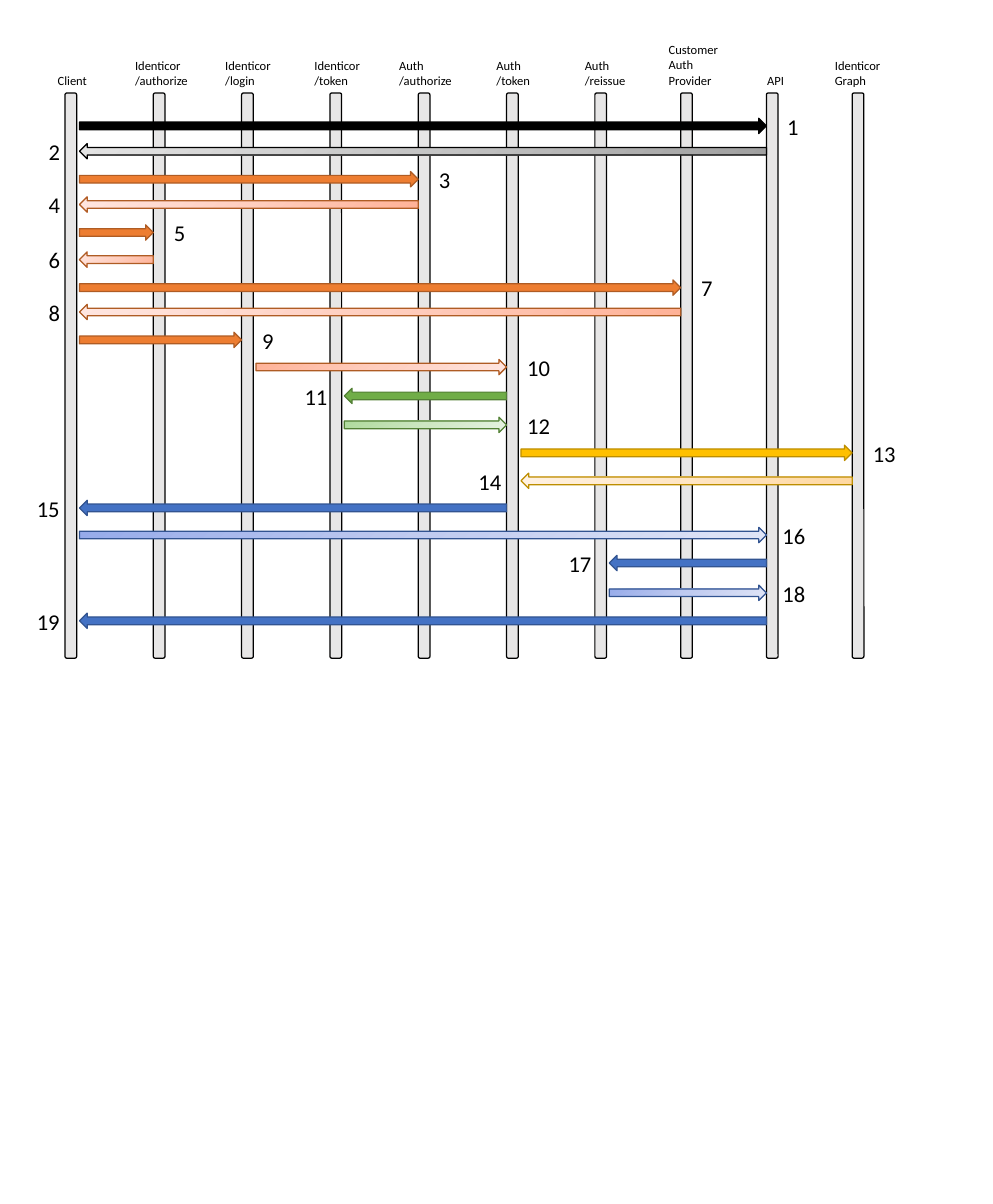
from copy import deepcopy
from dataclasses import dataclass

from pptx import Presentation
from pptx.dml.color import RGBColor
from pptx.enum.shapes import MSO_AUTO_SHAPE_TYPE as Preset
from pptx.enum.text import MSO_AUTO_SIZE as AutoSize
from pptx.oxml.ns import qn
from pptx.shapes.autoshape import Shape
from pptx.shapes.shapetree import SlideShapes
from pptx.util import Inches, Pt

BLACK = RGBColor(0x00, 0x00, 0x00)
LANE_GRAY = RGBColor(0xE7, 0xE6, 0xE6)
FONT = "Calibri"

LANE_LEFT, LANE_TOP = 0.72, 1.03
LANE_WIDTH, LANE_HEIGHT = 0.13, 6.26
WIDE_COLUMNS = 6
WIDE_PITCH, NARROW_PITCH = 5.87 / WIDE_COLUMNS, 0.95
ARROW_GAP, ARROW_HEIGHT = 0.03, 0.17
NUMBER_RISE, NUMBER_OVERLAP, NUMBER_HEIGHT = 0.11, 0.05, 0.4
DIGIT_WIDTH, NUMBER_MARGIN = 0.13, 0.2
HEADER_LINE, HEADER_MARGIN = 0.17, 0.1


@dataclass(frozen=True)
class Palette:
    solid: RGBColor
    outline: RGBColor
    fade: tuple[RGBColor, RGBColor, RGBColor]


@dataclass(frozen=True)
class Lane:
    title: str
    shift: float
    width: float = 0.84
    lines: int = 2


@dataclass(frozen=True)
class Message:
    source: int
    target: int
    top: float
    palette: Palette
    faded: bool = False
    nudge: float = 0


def palette(solid: str, outline: str, *fade: str) -> Palette:
    start, middle, end = map(RGBColor.from_string, fade)
    return Palette(RGBColor.from_string(solid), RGBColor.from_string(outline),
                   (start, middle, end))


INK = palette("000000", "000000", "A0A0A0", "C5C5C5", "E3E3E3")
ORANGE = palette("ED7D31", "AF5C24", "FFB297", "FFCEBF", "FFE6E0")
GREEN = palette("70AD47", "538035", "AEDA9B", "CDE6C2", "E6F2E1")
GOLD = palette("FFC000", "BD8E00", "FFD8A0", "FFE6C5", "FFF2E3")
BLUE = palette("4472C4", "325491", "96ABEA", "C0CBF0", "E0E5F7")

LANES = [
    Lane("Client", -0.18, 0.75, 1),
    Lane("Identicor\n/authorize", -0.3),
    Lane("Identicor\n/login", -0.28),
    Lane("Identicor\n/token", -0.27),
    Lane("Auth\n/authorize", -0.31),
    Lane("Auth\n/token", -0.21),
    Lane("Auth\n/reissue", -0.21),
    Lane("Customer\nAuth Provider", -0.23, 0.96, 3),
    Lane("API", -0.09, 0.75, 1),
    Lane("Identicor Graph", -0.29, 0.75),
]
(CLIENT, AUTHORIZE, LOGIN, TOKEN, AUTH_AUTHORIZE,
 AUTH_TOKEN, REISSUE, PROVIDER, API, GRAPH) = range(len(LANES))

MESSAGES = [
    Message(CLIENT, API, 1.31, INK),
    Message(API, CLIENT, 1.59, INK, faded=True),
    Message(CLIENT, AUTH_AUTHORIZE, 1.9, ORANGE),
    Message(AUTH_AUTHORIZE, CLIENT, 2.18, ORANGE, faded=True),
    Message(CLIENT, AUTHORIZE, 2.49, ORANGE),
    Message(AUTHORIZE, CLIENT, 2.79, ORANGE, faded=True),
    Message(CLIENT, PROVIDER, 3.1, ORANGE),
    Message(PROVIDER, CLIENT, 3.37, ORANGE, faded=True),
    Message(CLIENT, LOGIN, 3.68, ORANGE),
    Message(LOGIN, AUTH_TOKEN, 3.98, ORANGE, faded=True),
    Message(AUTH_TOKEN, TOKEN, 4.3, GREEN, nudge=0.03),
    Message(TOKEN, AUTH_TOKEN, 4.62, GREEN, faded=True),
    Message(AUTH_TOKEN, GRAPH, 4.93, GOLD),
    Message(GRAPH, AUTH_TOKEN, 5.24, GOLD, faded=True),
    Message(AUTH_TOKEN, CLIENT, 5.54, BLUE),
    Message(CLIENT, API, 5.84, BLUE, faded=True, nudge=-0.05),
    Message(API, REISSUE, 6.15, BLUE, nudge=0.02),
    Message(REISSUE, API, 6.48, BLUE, faded=True, nudge=-0.05),
    Message(API, CLIENT, 6.79, BLUE),
]


def lane_left(column: int) -> float:
    wide = min(column, WIDE_COLUMNS)
    return LANE_LEFT + wide * WIDE_PITCH + (column - wide) * NARROW_PITCH


def add_outlined(shapes: SlideShapes, preset: Preset, left: float, top: float,
                 width: float, height: float, outline: RGBColor) -> Shape:
    outlined = shapes.add_shape(preset, Inches(left), Inches(top),
                                Inches(width), Inches(height))
    outlined.shadow.inherit = False
    outlined.line.color.rgb = outline
    outlined.line.width = Pt(1)
    return outlined


def add_label(shapes: SlideShapes, text: str, left: float, top: float,
              width: float, height: float, size: int, wrap: bool) -> None:
    frame = shapes.add_textbox(Inches(left), Inches(top),
                               Inches(width), Inches(height)).text_frame
    frame.word_wrap = wrap
    frame.auto_size = AutoSize.SHAPE_TO_FIT_TEXT
    frame.text = text
    for paragraph in frame.paragraphs:
        paragraph.font.name = FONT
        paragraph.font.size = Pt(size)
        paragraph.font.color.rgb = BLACK


def apply_fade(arrow: Shape, colors: tuple[RGBColor, ...]) -> None:
    arrow.fill.gradient()
    arrow.fill.gradient_angle = 315
    stop_list = next(arrow._element.spPr.iter(qn("a:gsLst")))
    stop_list.insert(1, deepcopy(stop_list[0]))
    for index, (stop, color) in enumerate(zip(arrow.fill.gradient_stops, colors)):
        stop.position = index / (len(colors) - 1)
        stop.color.rgb = color


def draw_lane(shapes: SlideShapes, column: int, lane: Lane) -> None:
    left = lane_left(column)
    bar = add_outlined(shapes, Preset.ROUNDED_RECTANGLE, left, LANE_TOP,
                       LANE_WIDTH, LANE_HEIGHT, BLACK)
    bar.fill.solid()
    bar.fill.fore_color.rgb = LANE_GRAY
    height = HEADER_MARGIN + lane.lines * HEADER_LINE
    add_label(shapes, lane.title, left + lane.shift, LANE_TOP - height,
              lane.width, height, 10, wrap=True)


def draw_message(shapes: SlideShapes, number: int, message: Message) -> None:
    first, last = sorted((message.source, message.target))
    left = lane_left(first) + LANE_WIDTH + ARROW_GAP
    arrow = add_outlined(shapes, Preset.RIGHT_ARROW, left, message.top,
                         lane_left(last) - left, ARROW_HEIGHT,
                         message.palette.outline)
    backward = message.target < message.source
    arrow.rotation = 180 if backward else 0
    if message.faded:
        apply_fade(arrow, message.palette.fade)
    else:
        arrow.fill.solid()
        arrow.fill.fore_color.rgb = message.palette.solid

    width = NUMBER_MARGIN + len(str(number)) * DIGIT_WIDTH
    offset = NUMBER_OVERLAP - width if backward else LANE_WIDTH
    add_label(shapes, str(number),
              lane_left(message.target) + offset + message.nudge,
              message.top - NUMBER_RISE, width, NUMBER_HEIGHT, 18, wrap=False)


def main() -> None:
    deck = Presentation()
    deck.slide_width, deck.slide_height = Pt(792), Pt(960)
    shapes = deck.slides.add_slide(deck.slide_layouts[6]).shapes
    for column, lane in enumerate(LANES):
        draw_lane(shapes, column, lane)
    for number, message in enumerate(MESSAGES, start=1):
        draw_message(shapes, number, message)
    deck.save("out.pptx")


if __name__ == "__main__":
    main()
